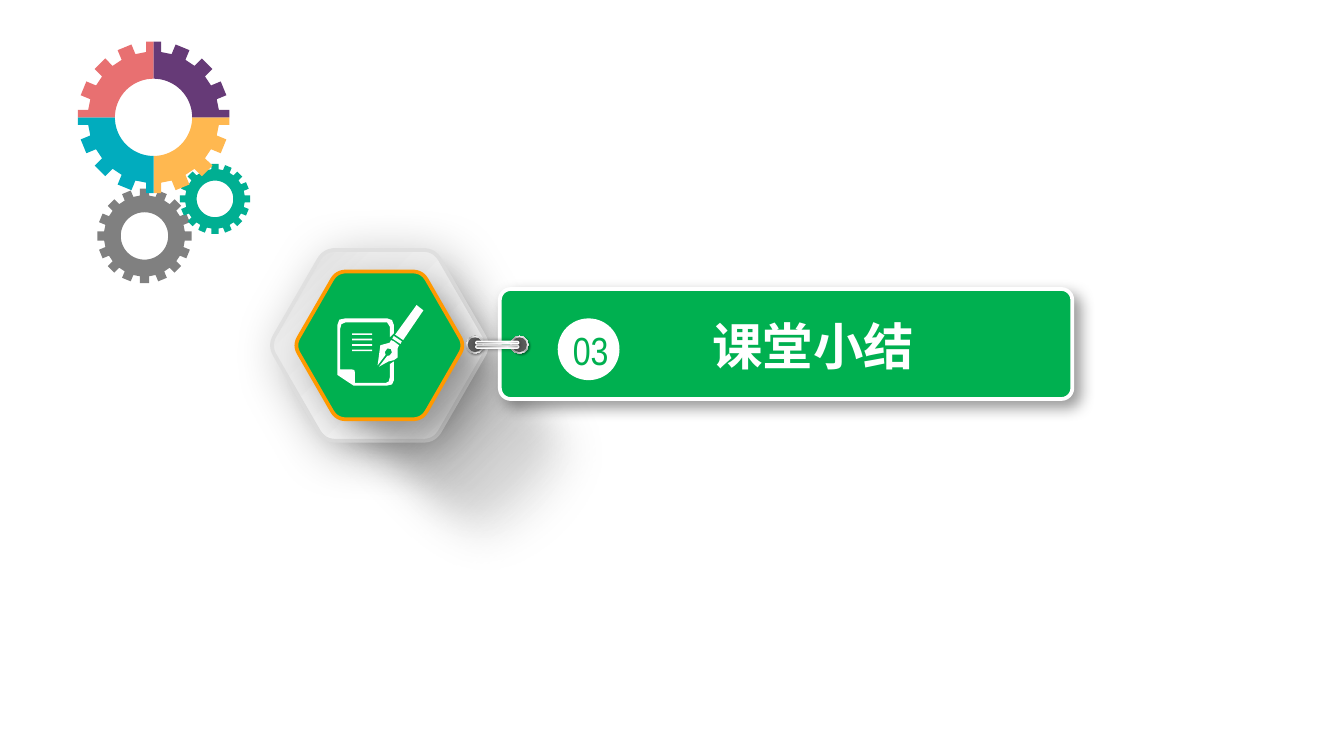
import math
import pptx
import pptx.util
import pptx.dml.color
import pptx.enum.shapes
import pptx.enum.text
import pptx.oxml
import pptx.oxml.ns
from lxml import etree

Pt = pptx.util.Pt
KIND = pptx.enum.shapes.MSO_SHAPE
HEX = {"green": "00B050", "white": "FFFFFF", "edge": "E0E0E0", "orange": "FF9900",
       "dark": "595959", "gray": "808080", "teal": "00AF92", "rose": "E87071",
       "plum": "663A77", "gold": "FFB850", "aqua": "01ACBE"}

# Content
TITLE, NUMBER = "课堂小结", "03"

# Gradients: (stop, colour, opacity)
SHADE = [(0, "000000", 54), (33, "6C6C6C", 42), (100, "D8D8D8", 0)]
DEEP = [(0, "000000", 61), (37, "6C6C6C", 50), (100, "D8D8D8", 0)]
PLATE = [(0, "FFFFFF", 100), (73, "ECECEC", 100), (100, "D9D9D9", 100)]
RING = [(0, "FFFFFF", 100), (17, "A6A6A6", 100), (35, "F2F2F2", 100),
        (55, "A6A6A6", 100), (75, "F2F2F2", 100), (100, "A6A6A6", 100)]
ROD = [(0, "808080", 100), (23, "A6A6A6", 100), (52, "D9D9D9", 100),
       (74, "FFFFFF", 100), (100, "A6A6A6", 100)]

# Gears: centre, outer radius, root radius, half tooth, hole radius
SMALL = [("gray", 77.4, 126.4, 25.3, 21.6, 2.5, 12.7),
         ("teal", 115.2, 106.6, 18.8, 15.9, 1.9, 9.8)]
LARGE = (82.3, 62.9, 40.6, 35, 4, 20.7)
PARTS = ["gold", "aqua", "rose", "plum"]  # clockwise from the right

# Pen and paper outlines
ICON = [
    [(223.2, 163.4), (211.7, 179.3), (216, 182.2), (226.8, 166.3)],
    [(211, 180), (210.2, 181.4), (214.6, 184.3), (215.3, 182.9)],
    [(209.5, 182.2), (208.8, 183.6), (203.8, 185), (202.3, 195.8), (206.6, 190.1),
     (206.2, 188.6), (207.5, 186.7), (209.4, 187), (210, 188.8), (208.8, 190.4),
     (207.5, 190.7), (203, 196.5), (208.1, 193.7), (211, 193), (213.1, 191.5),
     (213.1, 186.5), (213.8, 185), (211, 182.9)],
    [(208.8, 202.3), (208.2, 204.5), (206.6, 205.2), (190.1, 205.2), (190.1, 199.4),
     (189.8, 198.3), (188.6, 198), (182.2, 198), (182.2, 176.4), (182.9, 173.7),
     (185, 172.8), (207.4, 172.8), (208.8, 175), (208.8, 180.7), (211, 178.6),
     (211, 174.2), (210, 171.5), (207.4, 170.6), (185, 170.6), (181.8, 171.3),
     (180.7, 174.2), (180.7, 200.9), (189.4, 206.6), (207.4, 206.6), (210, 206),
     (211, 203.8), (211, 193.7), (208.8, 195.1)],
]

deck = pptx.Presentation()
deck.slide_width, deck.slide_height = Pt(720), Pt(405)
slide = deck.slides.add_slide(deck.slide_layouts[5])
shapes = slide.shapes


def color(name):
    return pptx.dml.color.RGBColor.from_string(HEX[name])


def paint(shape, fill, line=None, thick=2, angle=0):
    """Fill with a named colour or a list of gradient stops."""
    shape.shadow.inherit = False
    if isinstance(fill, str):
        shape.fill.solid()
        shape.fill.fore_color.rgb = color(fill)
    else:
        stops = "".join(
            f'<a:gs pos="{pos * 1000}"><a:srgbClr val="{rgb}">'
            f'<a:alpha val="{alpha * 1000}"/></a:srgbClr></a:gs>'
            for pos, rgb, alpha in fill)
        grad = pptx.oxml.parse_xml(
            f'<a:gradFill {pptx.oxml.ns.nsdecls("a")} rotWithShape="1"><a:gsLst>{stops}'
            f'</a:gsLst><a:lin ang="{angle * 60000}" scaled="0"/></a:gradFill>')
        shape.fill.background()
        old = shape.element.spPr.find(pptx.oxml.ns.qn("a:noFill"))
        old.getparent().replace(old, grad)
    if line:
        shape.line.color.rgb = color(line)
        shape.line.width = Pt(thick)
    else:
        shape.line.fill.background()
    return shape


def effect(shape, tag, body="", **attrs):
    box = shape.element.spPr.find(pptx.oxml.ns.qn("a:effectLst"))
    node = etree.SubElement(box, pptx.oxml.ns.qn(tag), attrs)
    if body:
        node.append(pptx.oxml.parse_xml(body))


def shadow(shape, alpha, blur, dist, angle=45):
    body = (f'<a:srgbClr {pptx.oxml.ns.nsdecls("a")} val="000000">'
            f'<a:alpha val="{alpha * 1000}"/></a:srgbClr>')
    effect(shape, "a:outerShdw", body, blurRad=str(Pt(blur)), dist=str(Pt(dist)),
           dir=str(angle * 60000), algn="tl", rotWithShape="0")


def add(kind, left, top, width, height, fill, **style):
    shape = shapes.add_shape(kind, Pt(left), Pt(top), Pt(width), Pt(height))
    return paint(shape, fill, **style)


def trace(loops, fill, **style):
    """Draw closed outlines as one shape."""
    loops = [[(Pt(x), Pt(y)) for x, y in loop] for loop in loops]
    pen = shapes.build_freeform(*loops[0][0])
    pen.add_line_segments(loops[0][1:])
    for loop in loops[1:]:
        pen.move_to(*loop[0])
        pen.add_line_segments(loop[1:])
    return paint(pen.convert_to_shape(), fill, **style)


def polar(x, y, radius, side, angle):
    c, s = math.cos(math.radians(angle)), math.sin(math.radians(angle))
    return x + radius * c - side * s, y + radius * s + side * c


def teeth(x, y, out, root, half, angles):
    return [polar(x, y, r, w, a) for a in angles
            for r, w in ((root, -half), (out, -half), (out, half), (root, half))]


def arc(x, y, radius, start, stop):
    return [polar(x, y, radius, 0, a) for a in range(start, stop, -5)]


def hexagon(x, y, radius, cut):
    """Regular hexagon whose corners are rounded over a length of cut."""
    ends = [polar(x, y, radius, 0, 60 * i) for i in range(6)]
    loop = []
    for i, (vx, vy) in enumerate(ends):
        (px, py), (nx, ny) = ends[i - 1], ends[(i + 1) % 6]
        for step in range(9):
            t = step / 8
            a, b = (1 - t) ** 2 * cut / radius, t ** 2 * cut / radius
            loop.append((vx + a * (px - vx) + b * (nx - vx),
                         vy + a * (py - vy) + b * (ny - vy)))
    return loop


def write(shape, text, size, face, tint, bold=False):
    frame = shape.text_frame
    frame.word_wrap = True
    frame.auto_size = pptx.enum.text.MSO_AUTO_SIZE.NONE
    frame.vertical_anchor = pptx.enum.text.MSO_ANCHOR.MIDDLE
    frame.text = text
    para = frame.paragraphs[0]
    para.alignment = pptx.enum.text.PP_ALIGN.CENTER
    font = para.font
    font.size, font.name, font.bold = Pt(size), face, bold
    font.color.rgb = color(tint)
    for node in list(shape.element.iter(pptx.oxml.ns.qn("a:latin"))):
        node.addnext(etree.Element(pptx.oxml.ns.qn("a:ea"), typeface=face))


# Hexagon badge with its long soft shadows
for stops, soft, box, radius, cut, fill, line, cast in [
        (SHADE, 20, (136.8, 150.5, 203.8, 140.4), 59, 6, PLATE, "edge", (28, 28, 7)),
        (DEEP, 16, (148.3, 159.8, 172.8, 113), 45.7, 5, "green", "orange", (25, 20, 9))]:
    pill = add(KIND.ROUNDED_RECTANGLE, *box, stops)
    pill.adjustments[0] = 0.5
    pill.rotation = 46
    effect(pill, "a:softEdge", rad=str(Pt(soft)))
    plate = trace([hexagon(203.2, 185, radius, cut)], fill, line=line, angle=45)
    plate.rotation = 180
    shadow(plate, *cast)

# Banner
banner = add(KIND.ROUNDED_RECTANGLE, 267.8, 154.8, 306.7, 59, "green", line="white")
banner.adjustments[0] = 0.1
shadow(banner, 40, 8, 4)

# Rings and rods that join badge and banner
for left in (273.6, 249.8):
    shadow(add(KIND.OVAL, left, 180, 9.4, 9.4, RING, angle=315), 40, 1, 1)
    add(KIND.OVAL, left + 0.75, 180.75, 7.9, 7.9, "dark")
for top in (185.1, 182.9):
    rod = add(KIND.ROUNDED_RECTANGLE, 254.9, top, 23, 1.4, ROD, line="white", thick=0.75)
    rod.adjustments[0] = 0.5
    shadow(rod, 40, 2, 0, 0)

# Title, brought in front of the banner
title = shapes.title
title.left, title.top, title.width, title.height = Pt(331.9), Pt(164.9), Pt(207.4), Pt(40.3)
write(title, TITLE, 27, "Noto Sans CJK SC", "white", True)
title.element.getparent().append(title.element)

# Pen and paper icon
for loop in ICON:
    trace([loop], "white")
for row in range(4):
    add(KIND.RECTANGLE, 188.6, 178.6 + 2.9 * row, 10.8, 0.9, "white")

# Section number
add(KIND.OVAL, 298.8, 170.6, 33.1, 33.1, "white")
label = shapes.add_textbox(Pt(297.4), Pt(171.4), Pt(38.2), Pt(32.4))
write(label, NUMBER, 21, "Arial Narrow", "green")

# Small gears
for name, x, y, out, root, half, hole in SMALL:
    rim = teeth(x, y, out, root, half, [22.5 * i for i in range(16)])
    trace([rim, arc(x, y, hole, 360, 0)], name)

# Large gear in four quarters, each starting and ending on half a tooth
x, y, out, root, half, hole = LARGE
for i, name in enumerate(PARTS):
    start = 90 * i
    rim = teeth(x, y, out, root, half, [start + 22.5 * k for k in range(1, 4)])
    head = [polar(x, y, r, w, start) for r, w in ((out, 0), (out, half), (root, half))]
    tail = [polar(x, y, r, w, start + 90) for r, w in ((root, -half), (out, -half), (out, 0))]
    trace([head + rim + tail + arc(x, y, hole, start + 90, start - 5)], name)

deck.save("out.pptx")
